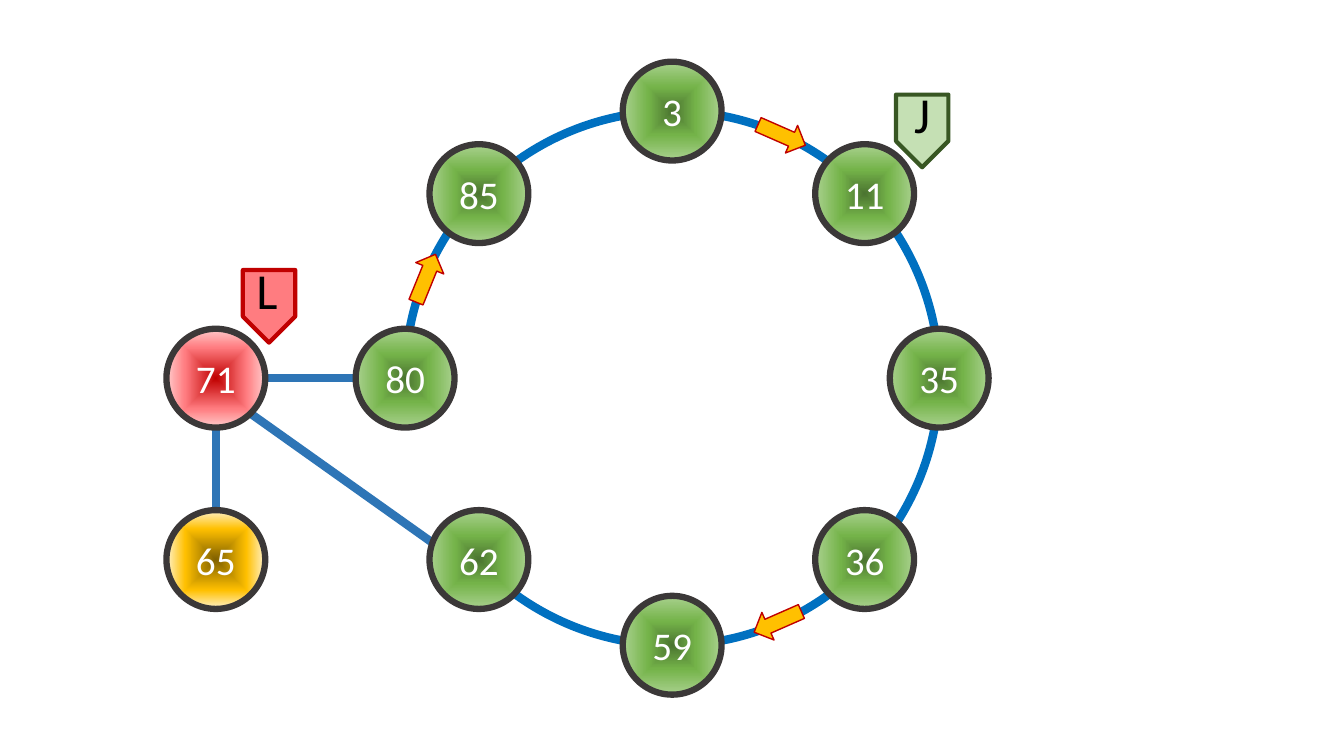
"""Draw a ring of numbered nodes with a detour through node 71 and two tags."""
from dataclasses import dataclass

import pptx
import pptx.dml.color
import pptx.enum.shapes
import pptx.enum.text
import pptx.oxml
import pptx.oxml.ns
import pptx.util

Cm = pptx.util.Cm
Pt = pptx.util.Pt
MSO_SHAPE = pptx.enum.shapes.MSO_SHAPE

FONT = "Calibri"
NODE_SIZE = 2.49
RING_SIZE = 13.46
RING_X, RING_Y = 16.94, 9.53
OUTER_X, LEFT_X, RIGHT_X = 5.44, 12.07, 21.79
UPPER_Y, LOWER_Y = 4.88, 14.1

GREEN = ((0, "4B7430"), (48, "74B349"), (100, "A9D18E"))
RED = ((0, "C00000"), (62, "FF7C80"), (100, "FFCCCC"))
GOLD = ((0, "806000"), (62, "FFC000"), (100, "FFF2CC"))


@dataclass
class Node:
    text: str
    x: float
    y: float
    stops: tuple = GREEN


@dataclass
class Arrow:
    x: float
    y: float
    angle: float


@dataclass
class Tag:
    letter: str
    x: float
    y: float
    letter_x: float
    fill: str
    line: str


@dataclass
class Link:
    x1: float
    y1: float
    x2: float
    y2: float


LINKS = [
    Link(OUTER_X, 10.77, OUTER_X, 12.85),
    Link(6.3, 10.41, 11.1, 13.82),
    Link(6.68, RING_Y, 8.97, RING_Y),
]
NODES = [
    Node("3", RING_X, RING_Y - RING_SIZE / 2),
    Node("11", RIGHT_X, UPPER_Y),
    Node("35", RING_X + RING_SIZE / 2, RING_Y),
    Node("36", RIGHT_X, LOWER_Y),
    Node("59", RING_X, RING_Y + RING_SIZE / 2),
    Node("62", LEFT_X, LOWER_Y),
    Node("80", RING_X - RING_SIZE / 2, RING_Y),
    Node("85", LEFT_X, UPPER_Y),
    Node("71", OUTER_X, RING_Y, RED),
    Node("65", OUTER_X, LOWER_Y, GOLD),
]
ARROWS = [Arrow(19.7, 3.4, 23.7), Arrow(19.6, 15.67, 156.3), Arrow(10.73, 7.01, 292.1)]
TAGS = [
    Tag("L", 6.78, 7.72, 6.73, "FF7C80", "C00000"),
    Tag("J", 23.24, 3.3, 23.24, "C5E0B4", "385723"),
]
RING_GAP = [
    (10.19, 10.8), (10.52, 10.77), (10.69, 10.9), (11.18, 11.33),
    (11.53, 11.73), (11.66, 12.12), (11.61, 12.47), (11.43, 12.83),
    (11.38, 13.06), (11.1, 13.23), (10.72, 12.78), (10.26, 12.34),
    (9.93, 11.96), (9.78, 11.66), (9.96, 11.33), (10.08, 10.97),
]


def rgb(value: str) -> pptx.dml.color.RGBColor:
    """Turn a hex string into a colour."""
    return pptx.dml.color.RGBColor.from_string(value)


def style(sp, fill: str | None, line: str, width: float) -> None:
    """Set a flat fill, or none, and an outline without shadow."""
    sp.shadow.inherit = False
    if fill:
        sp.fill.solid()
        sp.fill.fore_color.rgb = rgb(fill)
    else:
        sp.fill.background()
    sp.line.color.rgb = rgb(line)
    sp.line.width = Pt(width)


def add_centred(shapes, kind, x: float, y: float, w: float, h: float):
    """Add a preset shape around a centre point."""
    return shapes.add_shape(kind, Cm(x - w / 2), Cm(y - h / 2), Cm(w), Cm(h))


def write(sp, text: str, size: float, color: str) -> None:
    """Write one centred paragraph."""
    tf = sp.text_frame
    tf.word_wrap = True
    p = tf.paragraphs[0]
    p.text = text
    p.alignment = pptx.enum.text.PP_ALIGN.CENTER
    p.font.name = FONT
    p.font.size = Pt(size)
    p.font.color.rgb = rgb(color)


def fill_radiating(sp, stops: tuple) -> None:
    """Fill a shape with a gradient that spreads from its centre."""
    sp.fill.gradient()
    spPr = sp._element.spPr
    gs = "".join(
        f'<a:gs pos="{pos * 1000}"><a:srgbClr val="{color}"/></a:gs>' for pos, color in stops
    )
    grad = pptx.oxml.parse_xml(
        f'<a:gradFill {pptx.oxml.ns.nsdecls("a")} rotWithShape="1"><a:gsLst>{gs}</a:gsLst>'
        '<a:path path="shape"><a:fillToRect l="50000" t="50000" r="50000" b="50000"/>'
        "</a:path></a:gradFill>"
    )
    spPr.replace(spPr.find(pptx.oxml.ns.qn("a:gradFill")), grad)


def add_link(shapes, link: Link) -> None:
    """Draw a straight link between two nodes."""
    cxn = shapes.add_connector(
        pptx.enum.shapes.MSO_CONNECTOR.STRAIGHT,
        Cm(link.x1), Cm(link.y1), Cm(link.x2), Cm(link.y2),
    )
    cxn.line.color.rgb = rgb("2E75B6")
    cxn.line.width = Pt(6)
    spPr = cxn._element.spPr
    spPr.append(pptx.oxml.parse_xml(f'<a:effectLst {pptx.oxml.ns.nsdecls("a")}/>'))


def add_ring(shapes) -> None:
    """Draw the ring and open it between nodes 80 and 62."""
    ring = add_centred(shapes, MSO_SHAPE.OVAL, RING_X, RING_Y, RING_SIZE, RING_SIZE)
    style(ring, None, "0070C0", 6)
    start, *rest = [(Cm(x), Cm(y)) for x, y in RING_GAP]
    fb = shapes.build_freeform(*start)
    fb.add_line_segments(rest, close=True)
    style(fb.convert_to_shape(), "FFFFFF", "FFFFFF", 1)


def add_node(shapes, node: Node) -> None:
    """Draw a numbered node."""
    sp = add_centred(shapes, MSO_SHAPE.OVAL, node.x, node.y, NODE_SIZE, NODE_SIZE)
    style(sp, None, "3B3838", 4.5)
    fill_radiating(sp, node.stops)
    sp.text_frame.vertical_anchor = pptx.enum.text.MSO_ANCHOR.MIDDLE
    write(sp, node.text, 28, "FFFFFF")


def add_arrow(shapes, arrow: Arrow) -> None:
    """Draw a direction arrow on the ring."""
    sp = add_centred(shapes, MSO_SHAPE.RIGHT_ARROW, arrow.x, arrow.y, 1.3, 0.76)
    sp.rotation = arrow.angle
    style(sp, "FFC000", "C00000", 1)


def add_tag(shapes, tag: Tag) -> None:
    """Draw a lettered tag that points down, as one group."""
    group = shapes.add_group_shape()
    plate = add_centred(group.shapes, MSO_SHAPE.PENTAGON, tag.x, tag.y, 1.83, 1.32)
    plate.rotation = 90
    style(plate, tag.fill, tag.line, 3)
    box = group.shapes.add_textbox(Cm(tag.letter_x - 0.66), Cm(tag.y - 1.32), Cm(1.32), Cm(1.8))
    box.text_frame.auto_size = pptx.enum.text.MSO_AUTO_SIZE.SHAPE_TO_FIT_TEXT
    write(box, tag.letter, 36, "000000")


def main() -> None:
    """Build and save the slide."""
    prs = pptx.Presentation()
    prs.slide_width, prs.slide_height = Cm(33.87), Cm(19.05)
    shapes = prs.slides.add_slide(prs.slide_layouts[6]).shapes
    for link in LINKS:
        add_link(shapes, link)
    add_ring(shapes)
    for node in NODES:
        add_node(shapes, node)
    for arrow in ARROWS:
        add_arrow(shapes, arrow)
    for tag in TAGS:
        add_tag(shapes, tag)
    prs.save("out.pptx")


if __name__ == "__main__":
    main()
